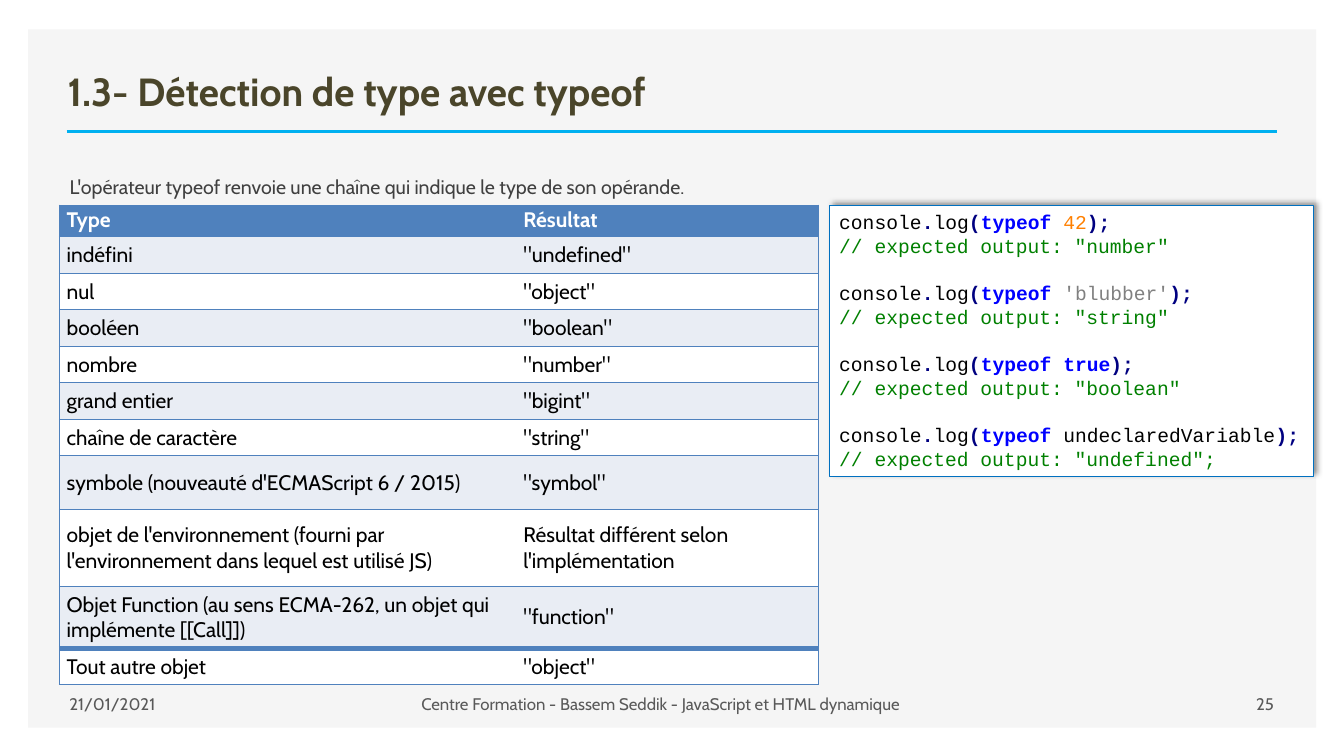
from lxml import etree
from pptx import Presentation
from pptx.dml.color import RGBColor
from pptx.enum.shapes import MSO_CONNECTOR, MSO_SHAPE
from pptx.enum.text import MSO_ANCHOR, MSO_AUTO_SIZE, PP_ALIGN
from pptx.oxml.ns import qn
from pptx.util import Cm, Pt

RECTANGLE = MSO_SHAPE.RECTANGLE
STRAIGHT = MSO_CONNECTOR.STRAIGHT
TOP, MIDDLE, BOTTOM = MSO_ANCHOR.TOP, MSO_ANCHOR.MIDDLE, MSO_ANCHOR.BOTTOM
LEFT, CENTER, RIGHT = PP_ALIGN.LEFT, PP_ALIGN.CENTER, PP_ALIGN.RIGHT
NO_AUTOFIT = MSO_AUTO_SIZE.NONE

TEXT_FONT, CODE_FONT = "Cabin", "Courier New"
TABLE_BLUE = "4F81BD"
CODE_BLACK, CODE_NAVY, CODE_BLUE, CODE_GREEN = "000000", "000080", "0000FF", "008000"
CODE_LINE = 16.9  # points

TYPES = [
    ("Type", "Résultat", 0.78),
    ("indéfini", '"undefined"', 0.92),
    ("nul", '"object"', 0.92),
    ("booléen", '"boolean"', 0.92),
    ("nombre", '"number"', 0.92),
    ("grand entier", '"bigint"', 0.92),
    ("chaîne de caractère", '"string"', 0.92),
    ("symbole (nouveauté d'ECMAScript 6 / 2015)", '"symbol"', 1.36),
    ("objet de l'environnement (fourni par l'environnement dans lequel est utilisé JS)",
     "Résultat différent selon l'implémentation", 1.93),
    ("Objet Function (au sens ECMA-262, un objet qui implémente [[Call]])",
     '"function"', 1.56),
    ("Tout autre objet", '"object"', 0.92),
]

# Operand, colour, bold, comment
EXAMPLES = [
    ("42", "FF8000", False, '// expected output: "number"'),
    ("'blubber'", "808080", False, '// expected output: "string"'),
    ("true", CODE_BLUE, True, '// expected output: "boolean"'),
    ("undeclaredVariable", CODE_BLACK, False, '// expected output: "undefined";'),
]


def rgb(value):
    return RGBColor.from_string(value)


def place(shape, left, top, width, height):
    shape.left, shape.top = Cm(left), Cm(top)
    shape.width, shape.height = Cm(width), Cm(height)


def add_run(paragraph, text, size, color, bold=False, font=TEXT_FONT):
    run = paragraph.add_run()
    run.text = text
    run.font.name, run.font.size, run.font.bold = font, Pt(size), bold
    run.font.color.rgb = rgb(color)


def set_frame(frame, anchor):
    frame.word_wrap = True
    frame.auto_size = NO_AUTOFIT
    frame.vertical_anchor = anchor


def add_rectangle(slide, left, top, width, height, fill):
    rectangle = slide.shapes.add_shape(RECTANGLE, Cm(left), Cm(top), Cm(width), Cm(height))
    rectangle.shadow.inherit = False
    rectangle.fill.solid()
    rectangle.fill.fore_color.rgb = rgb(fill)
    rectangle.line.fill.background()
    return rectangle


def add_backdrop(slide):
    panel = add_rectangle(slide, 0.71, 0.74, 32.46, 17.6, "F5F5F5")
    rule = slide.shapes.add_connector(STRAIGHT, Cm(1.68), Cm(3.32), Cm(32.18), Cm(3.32))
    rule.line.color.rgb = rgb("00B0F0")
    rule.line.width = Pt(2)
    etree.SubElement(rule._element.spPr, qn("a:effectLst"))
    # Both go behind the placeholders
    tree = slide.shapes._spTree
    tree.insert(2, panel._element)
    tree.insert(3, rule._element)


def fill_title(slide, text):
    title = slide.shapes.title
    place(title, 1.45, 1.24, 30.51, 1.78)
    set_frame(title.text_frame, BOTTOM)
    paragraph = title.text_frame.paragraphs[0]
    paragraph.alignment = LEFT
    add_run(paragraph, text, 28, "4A452A", True)


def fill_intro(slide, text):
    intro = slide.placeholders[1]
    place(intro, 1.5, 3.99, 26.04, 12.57)
    set_frame(intro.text_frame, TOP)
    paragraph = intro.text_frame.paragraphs[0]
    properties = paragraph._p.get_or_add_pPr()
    properties.set("marL", "0")
    properties.set("indent", "0")
    etree.SubElement(properties, qn("a:buNone"))
    paragraph.line_spacing = 1.5
    paragraph.space_before = Pt(0)
    add_run(paragraph, text, 14, "404040")


def add_footer(slide, left, width, text, alignment):
    footer = slide.shapes.add_textbox(Cm(left), Cm(17.22), Cm(width), Cm(1.02))
    set_frame(footer.text_frame, MIDDLE)
    paragraph = footer.text_frame.paragraphs[0]
    paragraph.alignment = alignment
    add_run(paragraph, text, 12, "595959")


def set_border(cell, side, width):
    """Draw one cell edge; a width of 0 clears it."""
    edge = etree.SubElement(cell._tc.get_or_add_tcPr(), qn(f"a:ln{side}"), w=str(Pt(width)))
    if width:
        solid = etree.SubElement(edge, qn("a:solidFill"))
        etree.SubElement(solid, qn("a:srgbClr"), val=TABLE_BLUE)
    else:
        etree.SubElement(edge, qn("a:noFill"))


def fill_cell(cell, text, row, column):
    header, last = row == 0, len(TYPES) - 1
    widths = {
        "L": 1 if column == 0 else 0,
        "R": 1 if column == 1 else 0,
        "T": 4 if row == last else 1,
        "B": 4 if row == last - 1 else 1,
    }
    for side, width in widths.items():
        set_border(cell, side, width)
    cell.fill.solid()
    cell.fill.fore_color.rgb = rgb(TABLE_BLUE if header else "E9EDF4" if row % 2 else "FFFFFF")
    cell.vertical_anchor = MIDDLE
    cell.margin_left = cell.margin_right = Cm(0.18)
    cell.margin_top = Cm(0.05 if header else 0.12)
    cell.margin_bottom = Cm(0.1 if header else 0.12)
    add_run(cell.text_frame.paragraphs[0], text, 15, "FFFFFF" if header else "000000", header)


def add_type_table(slide):
    total = sum(height for _, _, height in TYPES)
    frame = slide.shapes.add_table(len(TYPES), 2, Cm(1.5), Cm(5.17), Cm(19.13), Cm(total))
    table = frame.table
    table.horz_banding = False
    table.columns[0].width, table.columns[1].width = Cm(11.51), Cm(7.62)
    for row, (kind, result, height) in enumerate(TYPES):
        table.rows[row].height = Cm(height)
        for column, text in enumerate((kind, result)):
            fill_cell(table.cell(row, column), text, row, column)


def add_outer_shadow(shape):
    effects = shape._element.spPr.find(qn("a:effectLst"))
    shadow = etree.SubElement(effects, qn("a:outerShdw"), blurRad=str(Pt(4)),
                              dist=str(Pt(3)), dir="18900000", algn="bl", rotWithShape="0")
    color = etree.SubElement(shadow, qn("a:srgbClr"), val="000000")
    etree.SubElement(color, qn("a:alpha"), val="40000")


def add_code_line(paragraph, tokens, gap=0):
    paragraph.alignment = LEFT
    paragraph.line_spacing = Pt(CODE_LINE)
    paragraph.space_before = Pt(gap)
    for text, color, bold in tokens:
        add_run(paragraph, text, 14, color, bold, CODE_FONT)


def add_code_box(slide):
    box = add_rectangle(slide, 20.9, 5.17, 12.2, 6.83, "FFFFFF")
    box.line.color.rgb = rgb("0070C0")
    box.line.width = Pt(0.75)
    add_outer_shadow(box)
    frame = box.text_frame
    set_frame(frame, TOP)
    for index, (operand, color, bold, comment) in enumerate(EXAMPLES):
        call = [("console", CODE_BLACK, False), (".", CODE_NAVY, True),
                ("log", CODE_BLACK, False), ("(", CODE_NAVY, True),
                ("typeof", CODE_BLUE, True), (" ", CODE_BLACK, False),
                (operand, color, bold), (");", CODE_NAVY, True)]
        first = index == 0
        statement = frame.paragraphs[0] if first else frame.add_paragraph()
        add_code_line(statement, call, 0 if first else CODE_LINE)
        add_code_line(frame.add_paragraph(), [(comment, CODE_GREEN, False)])


def main():
    deck = Presentation()
    deck.slide_width, deck.slide_height = Cm(33.87), Cm(19.05)
    slide = deck.slides.add_slide(deck.slide_layouts[1])

    # Frame and heading
    add_backdrop(slide)
    fill_title(slide, "1.3- Détection de type avec typeof")
    fill_intro(slide, "L'opérateur typeof renvoie une chaîne qui indique le type de son opérande.")

    # Footer
    add_footer(slide, 1.5, 4.27, "21/01/2021", LEFT)
    add_footer(slide, 5.77, 21.77,
               "Centre Formation - Bassem Seddik - JavaScript et HTML dynamique", CENTER)
    add_footer(slide, 27.53, 4.83, "25", RIGHT)

    # Types and code examples
    add_type_table(slide)
    add_code_box(slide)
    deck.save("out.pptx")


if __name__ == "__main__":
    main()
